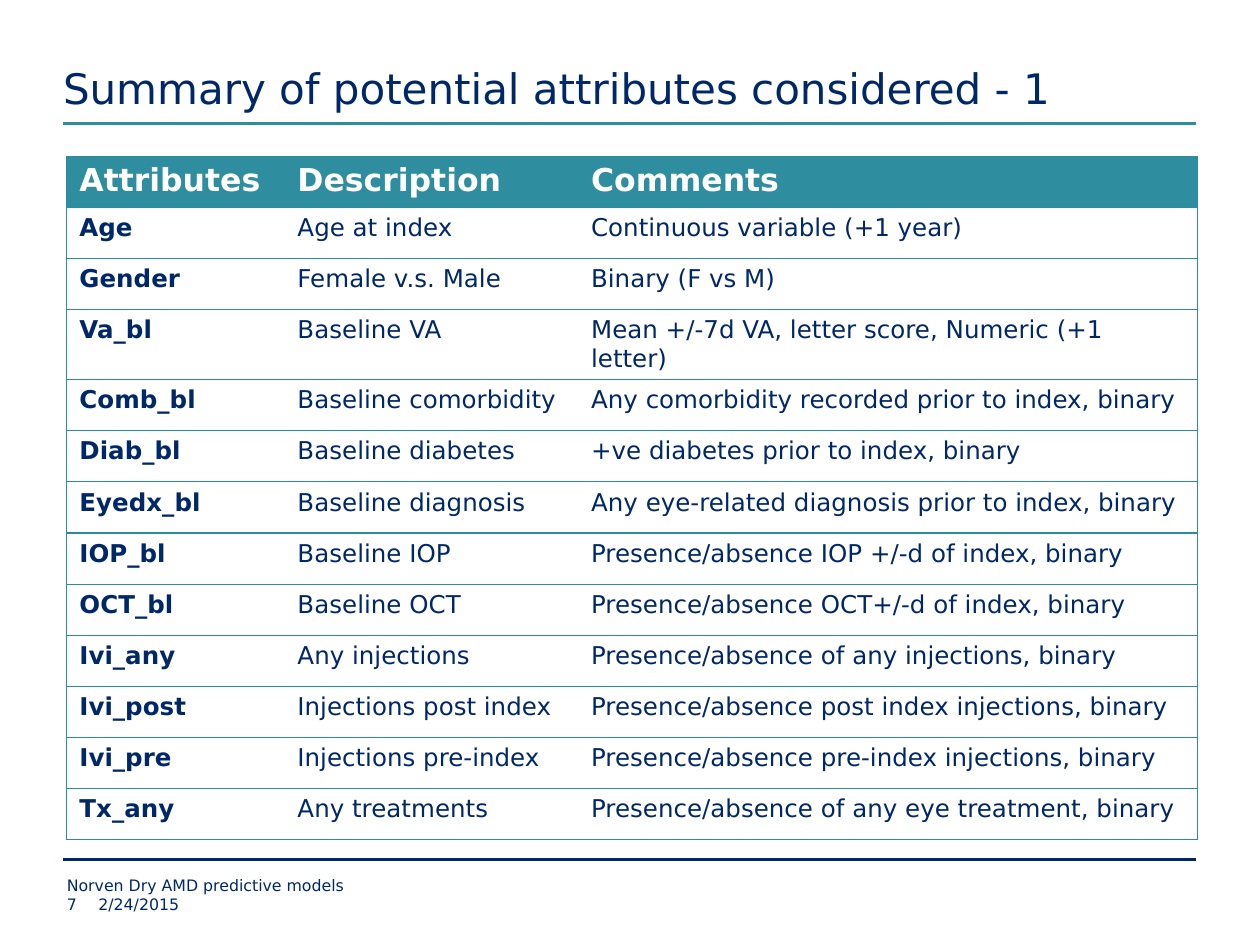
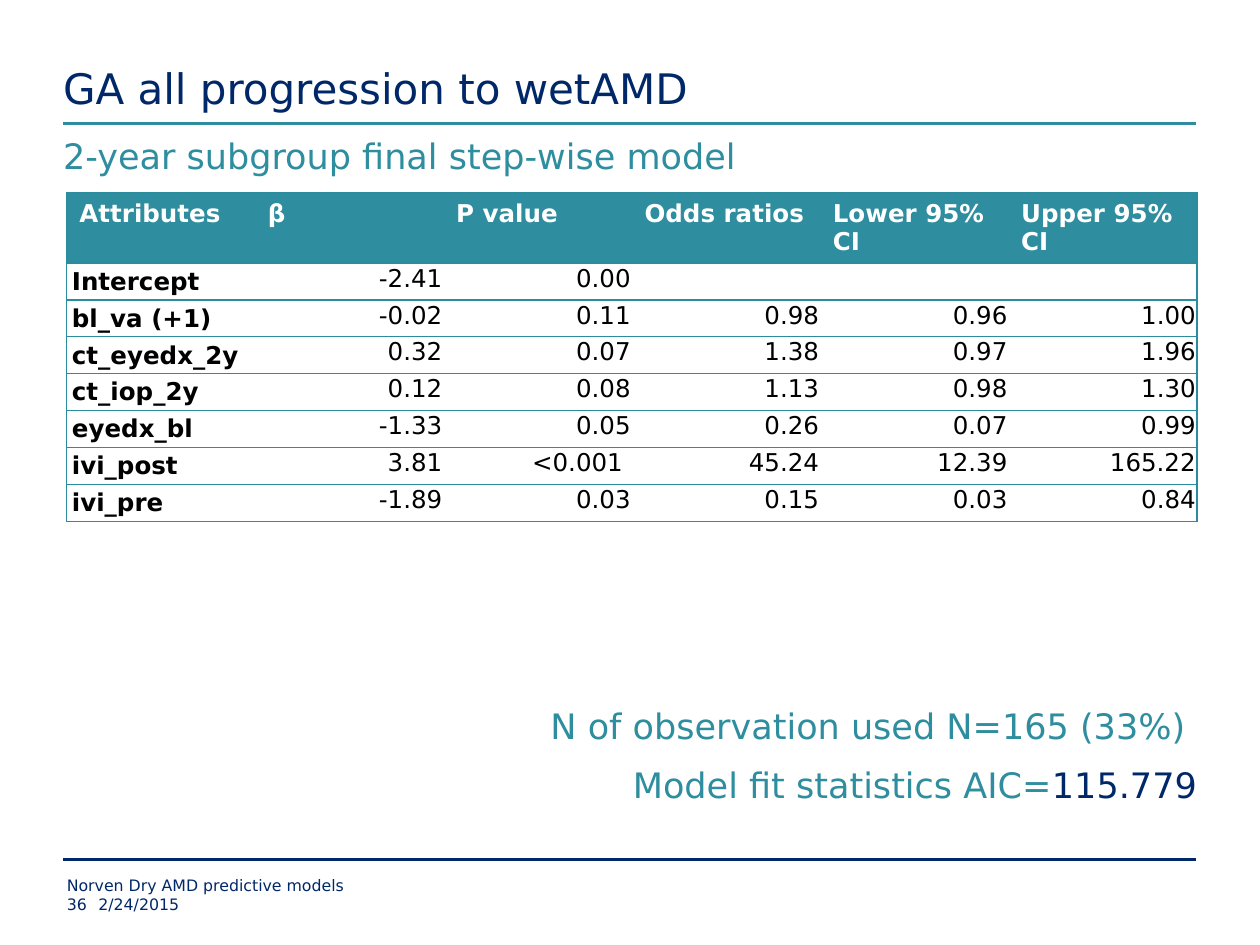
from dataclasses import dataclass
from typing import Optional

from lxml.etree import SubElement
from pptx import Presentation
from pptx.dml.color import RGBColor
from pptx.enum.shapes import MSO_CONNECTOR
from pptx.enum.text import MSO_ANCHOR, MSO_AUTO_SIZE, PP_ALIGN
from pptx.oxml.ns import qn
from pptx.util import Pt


@dataclass(frozen=True)
class Theme:
    font: str = "DejaVu Sans"
    navy: str = "002868"
    teal: str = "2E8D9E"
    grid: str = "2A8C9D"
    white: str = "FFFFFF"
    black: str = "000000"
    title: float = 24
    subtitle: float = 20
    large_header: float = 18
    table: float = 14
    footer: float = 9
    rule_width: float = 1.5
    grid_width: float = 0.75


@dataclass(frozen=True)
class Box:
    left: float
    top: float
    width: float
    height: float


@dataclass(frozen=True)
class CellStyle:
    size: float
    color: str
    bold: bool = False
    align: PP_ALIGN = PP_ALIGN.LEFT
    insets: tuple[float, float, float, float] = (7.2, 3.6, 7.2, 3.6)
    fill: str = "FFFFFF"
    line_spacing: Optional[float] = None
    space: float = 0


@dataclass(frozen=True)
class TableDesign:
    top: float
    column_widths: list[float]
    header_height: float
    row_height: float
    header: CellStyle
    label: CellStyle
    value: CellStyle


THEME = Theme()
LEFT = 36
RIGHT = 683.3
CONTENT_LEFT = 38.2
TITLE_BOX = Box(LEFT, 0, 648, 64.8)
SUBTITLE_BOX = Box(LEFT, 77, 648, 35.3)
STATISTICS_BOX = Box(LEFT, 402.5, 648, 70.6)
FOOTER_TEXT = "Norven Dry AMD predictive models"
FOOTER_DATE = "2/24/2015"

ATTRIBUTE_ROWS = [
    ["Attributes", "Description", "Comments"],
    ["Age", "Age at index", "Continuous variable (+1 year)"],
    ["Gender", "Female v.s. Male", "Binary (F vs M)"],
    ["Va_bl", "Baseline VA", "Mean +/-7d VA, letter score, Numeric (+1 letter)"],
    ["Comb_bl", "Baseline comorbidity", "Any comorbidity recorded prior to index, binary"],
    ["Diab_bl", "Baseline diabetes", "+ve diabetes prior to index, binary"],
    ["Eyedx_bl", "Baseline diagnosis", "Any eye-related diagnosis prior to index, binary"],
    ["IOP_bl", "Baseline IOP", "Presence/absence IOP +/-d of index, binary"],
    ["OCT_bl", "Baseline OCT", "Presence/absence OCT+/-d of index, binary"],
    ["Ivi_any", "Any injections", "Presence/absence of any injections, binary"],
    ["Ivi_post", "Injections post index", "Presence/absence post index injections, binary"],
    ["Ivi_pre", "Injections pre-index", "Presence/absence pre-index injections, binary"],
    ["Tx_any", "Any treatments", "Presence/absence of any eye treatment, binary"],
]

MODEL_ROWS = [
    ["Attributes", "β", "P value", "Odds ratios", "Lower 95% CI", "Upper 95% CI"],
    ["Intercept", "-2.41", "0.00", "", "", ""],
    ["bl_va (+1)", "-0.02", "0.11", "0.98", "0.96", "1.00"],
    ["ct_eyedx_2y", "0.32", "0.07", "1.38", "0.97", "1.96"],
    ["ct_iop_2y", "0.12", "0.08", "1.13", "0.98", "1.30"],
    ["eyedx_bl", "-1.33", "0.05", "0.26", "0.07", "0.99"],
    ["ivi_post", "3.81", "<0.001 ", "45.24", "12.39", "165.22"],
    ["ivi_pre", "-1.89", "0.03", "0.15", "0.03", "0.84"],
]

ATTRIBUTE_DESIGN = TableDesign(
    top=89.3,
    column_widths=[124.6, 167.8, 353.5],
    header_height=29.2,
    row_height=29.2,
    header=CellStyle(THEME.large_header, THEME.white, bold=True, fill=THEME.teal),
    label=CellStyle(THEME.table, THEME.navy, bold=True),
    value=CellStyle(THEME.table, THEME.navy),
)

MODEL_DESIGN = TableDesign(
    top=110.2,
    column_widths=[107.65] * 6,
    header_height=40,
    row_height=21.1,
    header=CellStyle(THEME.table, THEME.white, bold=True, fill=THEME.teal),
    label=CellStyle(THEME.table, THEME.black, bold=True, insets=(2.9, 0, 2.9, 0),
                    line_spacing=1.15, space=3),
    value=CellStyle(THEME.table, THEME.black, align=PP_ALIGN.RIGHT,
                    insets=(0.7, 0.7, 0.7, 0)),
)


def write_text(paragraph, text: str, *, size: float, color: str, bold: bool = False,
               align: PP_ALIGN = PP_ALIGN.LEFT, before: float = 0, after: float = 0,
               line_spacing: Optional[float] = None) -> None:
    paragraph.alignment = align
    paragraph.space_before = Pt(before)
    paragraph.space_after = Pt(after)
    if line_spacing:
        paragraph.line_spacing = line_spacing
    run = paragraph.add_run()
    run.text = text
    run.font.name = THEME.font
    run.font.size = Pt(size)
    run.font.bold = bold
    run.font.color.rgb = RGBColor.from_string(color)


def prepare_frame(shape, anchor: MSO_ANCHOR = MSO_ANCHOR.TOP):
    frame = shape.text_frame
    frame.margin_left = frame.margin_top = frame.margin_right = frame.margin_bottom = 0
    frame.word_wrap = True
    frame.auto_size = MSO_AUTO_SIZE.NONE
    frame.vertical_anchor = anchor
    return frame


def place(shape, box: Box) -> None:
    shape.left, shape.top = Pt(box.left), Pt(box.top)
    shape.width, shape.height = Pt(box.width), Pt(box.height)


def add_text_box(slide, box: Box):
    shape = slide.shapes.add_textbox(Pt(box.left), Pt(box.top), Pt(box.width), Pt(box.height))
    return prepare_frame(shape)


def add_rule(slide, top: float, color: str) -> None:
    rule = slide.shapes.add_connector(MSO_CONNECTOR.STRAIGHT, Pt(LEFT), Pt(top), Pt(RIGHT), Pt(top))
    rule.line.color.rgb = RGBColor.from_string(color)
    rule.line.width = Pt(THEME.rule_width)
    SubElement(rule._element.spPr, qn("a:effectLst"))


def add_framed_slide(presentation, layout_index: int, title: str, number: int):
    slide = presentation.slides.add_slide(presentation.slide_layouts[layout_index])
    add_rule(slide, 70.7, THEME.teal)
    add_rule(slide, 491, THEME.navy)
    place(slide.shapes.title, TITLE_BOX)
    frame = prepare_frame(slide.shapes.title, MSO_ANCHOR.BOTTOM)
    write_text(frame.paragraphs[0], title, size=THEME.title, color=THEME.navy)
    footers = [
        (FOOTER_DATE, Box(56.2, 511.2, 522, 10.8)),
        (FOOTER_TEXT, Box(CONTENT_LEFT, 500.4, 540, 10.8)),
        (str(number), Box(CONTENT_LEFT, 511.2, 18, 10.8)),
    ]
    for text, box in footers:
        write_text(add_text_box(slide, box).paragraphs[0], text,
                   size=THEME.footer, color=THEME.navy)
    return slide


def set_borders(cell, visible: set[str]) -> None:
    properties = cell._tc.get_or_add_tcPr()
    for side in ("L", "R", "T", "B"):
        line = SubElement(properties, qn(f"a:ln{side}"), w=str(Pt(THEME.grid_width)))
        if side in visible:
            fill = SubElement(line, qn("a:solidFill"))
            SubElement(fill, qn("a:srgbClr"), val=THEME.grid)
        else:
            SubElement(line, qn("a:noFill"))


def fill_cell(cell, text: str, style: CellStyle, borders: set[str]) -> None:
    set_borders(cell, borders)
    cell.fill.solid()
    cell.fill.fore_color.rgb = RGBColor.from_string(style.fill)
    left, top, right, bottom = style.insets
    cell.margin_left, cell.margin_top = Pt(left), Pt(top)
    cell.margin_right, cell.margin_bottom = Pt(right), Pt(bottom)
    write_text(cell.text_frame.paragraphs[0], text, size=style.size, color=style.color,
               bold=style.bold, align=style.align, before=style.space, after=style.space,
               line_spacing=style.line_spacing)


def add_styled_table(slide, rows: list[list[str]], design: TableDesign) -> None:
    heights = [design.header_height] + [design.row_height] * (len(rows) - 1)
    table = slide.shapes.add_table(
        len(rows), len(rows[0]), Pt(CONTENT_LEFT), Pt(design.top),
        Pt(sum(design.column_widths)), Pt(sum(heights))).table
    table.horz_banding = False
    for column, width in zip(table.columns, design.column_widths):
        column.width = Pt(width)
    for row, height in zip(table.rows, heights):
        row.height = Pt(height)
    last_column = len(rows[0]) - 1
    for row_index, texts in enumerate(rows):
        for column_index, text in enumerate(texts):
            if row_index == 0:
                style = design.header
            else:
                style = design.label if column_index == 0 else design.value
            borders = {"T", "B"}
            if column_index == 0:
                borders.add("L")
            if column_index == last_column:
                borders.add("R")
            fill_cell(table.cell(row_index, column_index), text, style, borders)


def add_subtitle(slide, text: str) -> None:
    body = slide.placeholders[1]
    place(body, SUBTITLE_BOX)
    paragraph = prepare_frame(body).paragraphs[0]
    write_text(paragraph, text, size=THEME.subtitle, color=THEME.teal, before=10)
    properties = paragraph._p.get_or_add_pPr()
    properties.set("marL", "0")
    properties.set("indent", "0")
    SubElement(properties, qn("a:buNone"))


def add_statistics(slide) -> None:
    frame = add_text_box(slide, STATISTICS_BOX)
    lines = [
        [("N of observation used N=165 (33%) ", THEME.teal)],
        [("Model fit statistics AIC=", THEME.teal), ("115.779", THEME.navy)],
    ]
    for index, parts in enumerate(lines):
        paragraph = frame.add_paragraph() if index else frame.paragraphs[0]
        for text, color in parts:
            write_text(paragraph, text, size=THEME.subtitle, color=color,
                       align=PP_ALIGN.RIGHT, before=10)


def main() -> None:
    presentation = Presentation()
    presentation.slide_width, presentation.slide_height = Pt(720), Pt(540)

    attributes = add_framed_slide(presentation, 5, "Summary of potential attributes considered - 1", 7)
    add_styled_table(attributes, ATTRIBUTE_ROWS, ATTRIBUTE_DESIGN)

    model = add_framed_slide(presentation, 1, "GA all progression to wetAMD", 36)
    add_subtitle(model, "2-year subgroup final step-wise model")
    add_styled_table(model, MODEL_ROWS, MODEL_DESIGN)
    add_statistics(model)

    presentation.save("out.pptx")


main()
